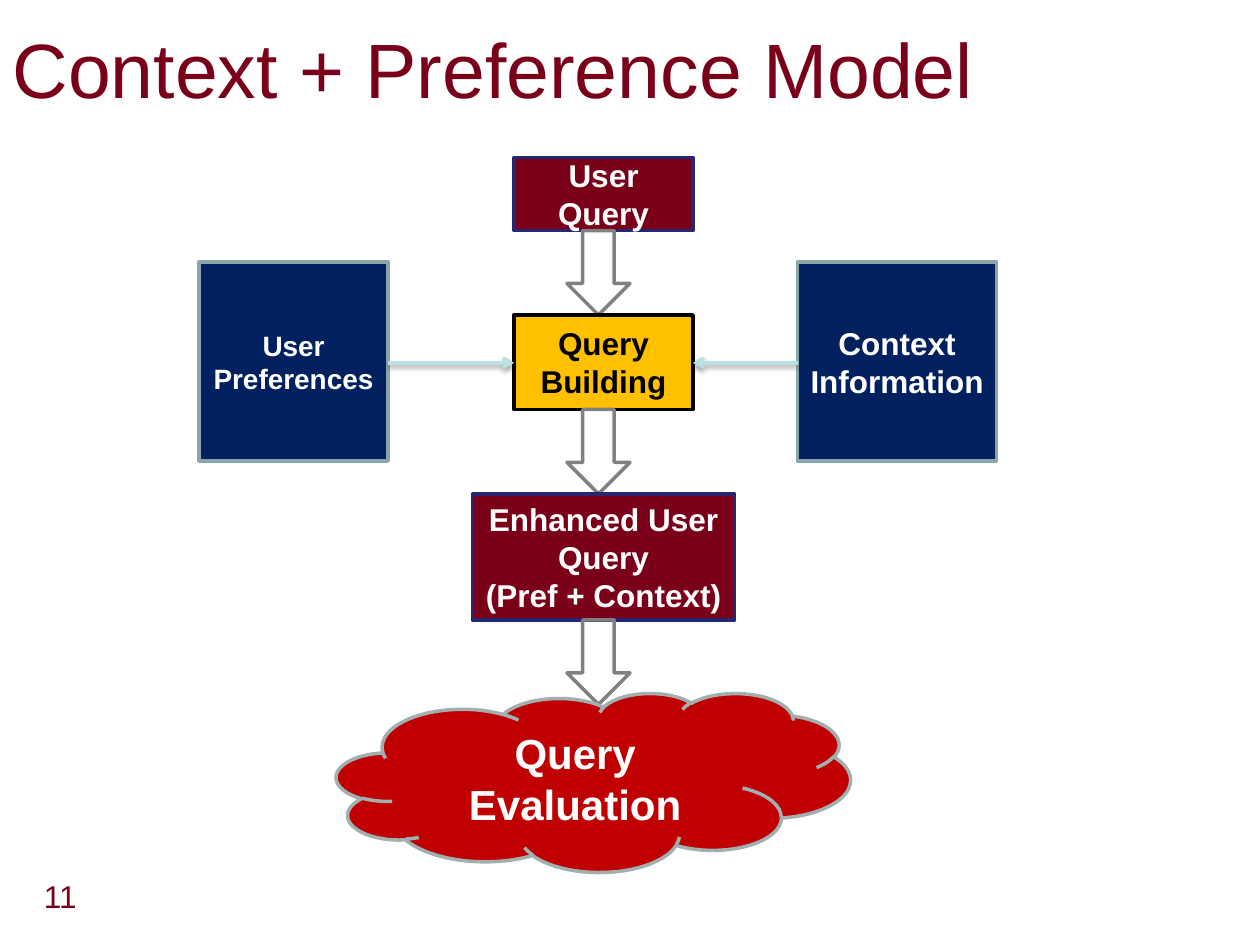
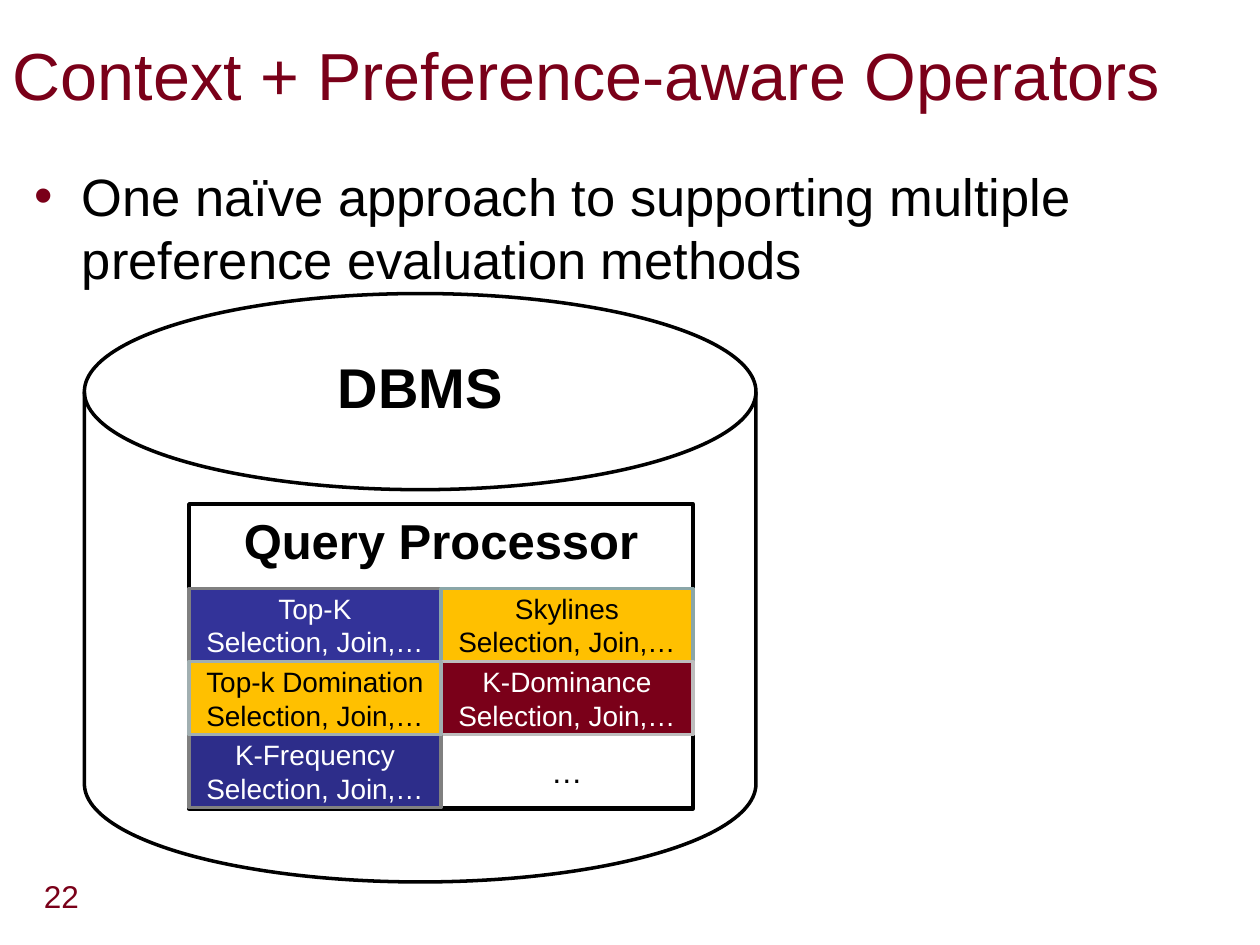
from lxml.etree import SubElement
from pptx import Presentation
from pptx.dml.color import RGBColor
from pptx.enum.shapes import MSO_CONNECTOR, MSO_SHAPE
from pptx.enum.text import MSO_ANCHOR, MSO_AUTO_SIZE, PP_ALIGN
from pptx.oxml.ns import qn
from pptx.util import Inches, Pt

FONT = "Arial"
MAROON, NAVY, GOLD, RED = "7A0019", "002060", "FFC000", "C00000"
INDIGO, DARK_INDIGO = "333399", "2D2D8A"
BLACK, WHITE, GRAY = "000000", "FFFFFF", "808080"
MAROON_EDGE, TEAL_EDGE, CLOUD_EDGE, SILVER = "262671", "8AA6A8", "A1AFB1", "BDBDBD"
PALE_BLUE = "BBE0E3"
TITLE_ONLY, TITLE_AND_CONTENT = 5, 1


def color(value):
    """Turn a hex string into a colour."""
    return RGBColor.from_string(value)


def place(shape, left, top, width, height):
    """Move and size a shape, in inches."""
    shape.left, shape.top = Inches(left), Inches(top)
    shape.width, shape.height = Inches(width), Inches(height)


def write(frame, text, size, ink, bold=False, align=PP_ALIGN.LEFT):
    """Write each line of the text as a paragraph of its own."""
    for index, line in enumerate(text.split("\n")):
        para = frame.paragraphs[0] if index == 0 else frame.add_paragraph()
        para.alignment = align
        span = para.add_run()
        span.text = line
        span.font.name, span.font.size, span.font.bold = FONT, Pt(size), bold
        span.font.color.rgb = color(ink)


def add_box(page, kind, area, fill, edge, text="", size=18, ink=WHITE, bold=True):
    """Add an outlined preset shape with centred text."""
    box = page.shapes.add_shape(kind, *map(Inches, area))
    box.shadow.inherit = False
    if fill:
        box.fill.solid()
        box.fill.fore_color.rgb = color(fill)
    else:
        box.fill.background()
    box.line.color.rgb = color(edge)
    box.line.width = Pt(2)
    if text:
        box.text_frame.word_wrap = True
        box.text_frame.vertical_anchor = MSO_ANCHOR.MIDDLE
        write(box.text_frame, text, size, ink, bold, PP_ALIGN.CENTER)


def add_label(page, area, text, size, ink=BLACK, bold=True, align=PP_ALIGN.CENTER, wrap=True):
    """Add a text box."""
    label = page.shapes.add_textbox(*map(Inches, area))
    label.text_frame.word_wrap = wrap
    write(label.text_frame, text, size, ink, bold, align)


def add_arrow(page, start, end, level):
    """Add a level arrow with a soft shadow below it."""
    arrow = page.shapes.add_connector(
        MSO_CONNECTOR.STRAIGHT, Inches(start), Inches(level), Inches(end), Inches(level))
    arrow.line.color.rgb = color(PALE_BLUE)
    arrow.line.width = Pt(2)
    SubElement(arrow.line._get_or_add_ln(), qn("a:tailEnd"), type="arrow")
    effects = SubElement(arrow._element.spPr, qn("a:effectLst"))
    shadow = SubElement(effects, qn("a:outerShdw"), blurRad=str(Pt(3.1)),
                        dist=str(Pt(1.6)), dir="5400000", rotWithShape="0")
    shade = SubElement(shadow, qn("a:srgbClr"), val=BLACK)
    SubElement(shade, qn("a:alpha"), val="38000")


def add_page(deck, layout, number, title, size, width, height):
    """Add a slide with its title and page number."""
    page = deck.slides.add_slide(deck.slide_layouts[layout])
    add_label(page, (0.25, 6.91, 0.51, 0.4), number, 18, MAROON, False, PP_ALIGN.LEFT, False)
    heading = page.shapes.title
    place(heading, 0, 0, width, height)
    heading.text_frame.auto_size = MSO_AUTO_SIZE.NONE
    heading.text_frame.vertical_anchor = MSO_ANCHOR.MIDDLE
    write(heading.text_frame, title, size, MAROON)
    return page


def add_bullet(page, text):
    """Fill the body placeholder with one bulleted paragraph."""
    body = page.placeholders[1]
    place(body, 0.17, 1.25, 9.67, 1.58)
    body.text_frame.auto_size = MSO_AUTO_SIZE.NONE
    write(body.text_frame, text, 30, BLACK)
    properties = body.text_frame.paragraphs[0]._p.get_or_add_pPr()
    properties.set("marL", str(Inches(0.38)))
    properties.set("indent", str(-Inches(0.38)))
    bullet_color = SubElement(properties, qn("a:buClr"))
    SubElement(bullet_color, qn("a:srgbClr"), val=MAROON)
    SubElement(properties, qn("a:buFont"), typeface=FONT)
    SubElement(properties, qn("a:buChar"), char="•")


def build_model(deck):
    """Build the flow from user query to query evaluation."""
    page = add_page(deck, TITLE_ONLY, "11", "Context + Preference Model", 44, 10, 1.08)
    inputs = [
        (1.58, 1.5, "User Preferences", 16, 3.08, 4.08),
        (6.33, 1.58, "Context\nInformation", 18, 6.33, 5.5),
    ]
    steps = [
        (1.25, 1.42, 0.58, MAROON, MAROON_EDGE, "User Query", WHITE),
        (2.5, 1.42, 0.75, GOLD, BLACK, "Query Building", BLACK),
        (3.92, 2.08, 1, MAROON, MAROON_EDGE, "Enhanced User Query\n(Pref + Context)", WHITE),
    ]
    for top, width, height, fill, edge, text, ink in steps:
        area = (4.79 - width / 2, top, width, height)
        add_box(page, MSO_SHAPE.RECTANGLE, area, fill, edge, text, ink=ink)
        add_box(page, MSO_SHAPE.DOWN_ARROW, (4.5, top + height, 0.5, 0.67), None, GRAY)
    for left, width, text, size, start, end in inputs:
        area = (left, 2.08, width, 1.58)
        add_box(page, MSO_SHAPE.RECTANGLE, area, NAVY, TEAL_EDGE, text, size)
        add_arrow(page, start, end, 2.88)
    add_box(page, MSO_SHAPE.CLOUD, (2.67, 5.5, 4.08, 1.42), RED, CLOUD_EDGE,
            "Query Evaluation", 24)


def build_operators(deck):
    """Build the database with its grid of preference operators."""
    page = add_page(deck, TITLE_AND_CONTENT, "22",
                    "Context + Preference-aware Operators", 38, 9.5, 1.17)
    add_bullet(page, "One naïve approach to supporting multiple preference evaluation methods")
    add_box(page, MSO_SHAPE.FLOWCHART_MAGNETIC_DISK, (0.67, 2.33, 5.33, 4.67), WHITE, BLACK)
    add_label(page, (1, 2.75, 4.67, 0.64), "DBMS", 32)
    add_box(page, MSO_SHAPE.RECTANGLE, (1.5, 4, 4, 2.42), WHITE, BLACK)
    add_label(page, (1.5, 4, 4, 0.57), "Query Processor", 28)
    selection = "\nSelection, Join,…"
    operators = [
        (1, 2, WHITE, BLACK, "…", 18, BLACK),
        (0, 0, INDIGO, GRAY, "Top-K" + selection, 16, WHITE),
        (1, 0, GOLD, TEAL_EDGE, "Skylines" + selection, 16, BLACK),
        (1, 1, MAROON, SILVER, "K-Dominance" + selection, 16, WHITE),
        (0, 2, DARK_INDIGO, GRAY, "K-Frequency" + selection, 16, WHITE),
        (0, 1, GOLD, CLOUD_EDGE, "Top-k Domination" + selection, 16, BLACK),
    ]
    for column, row, fill, edge, text, size, ink in operators:
        area = (1.5 + 2 * column, 4.67 + 0.58 * row, 2, 0.58)
        add_box(page, MSO_SHAPE.RECTANGLE, area, fill, edge, text, size, ink, False)


def main():
    """Build the deck and save it."""
    deck = Presentation()
    deck.slide_width, deck.slide_height = Inches(10), Inches(7.5)
    build_model(deck)
    build_operators(deck)
    deck.save("out.pptx")


if __name__ == "__main__":
    main()
